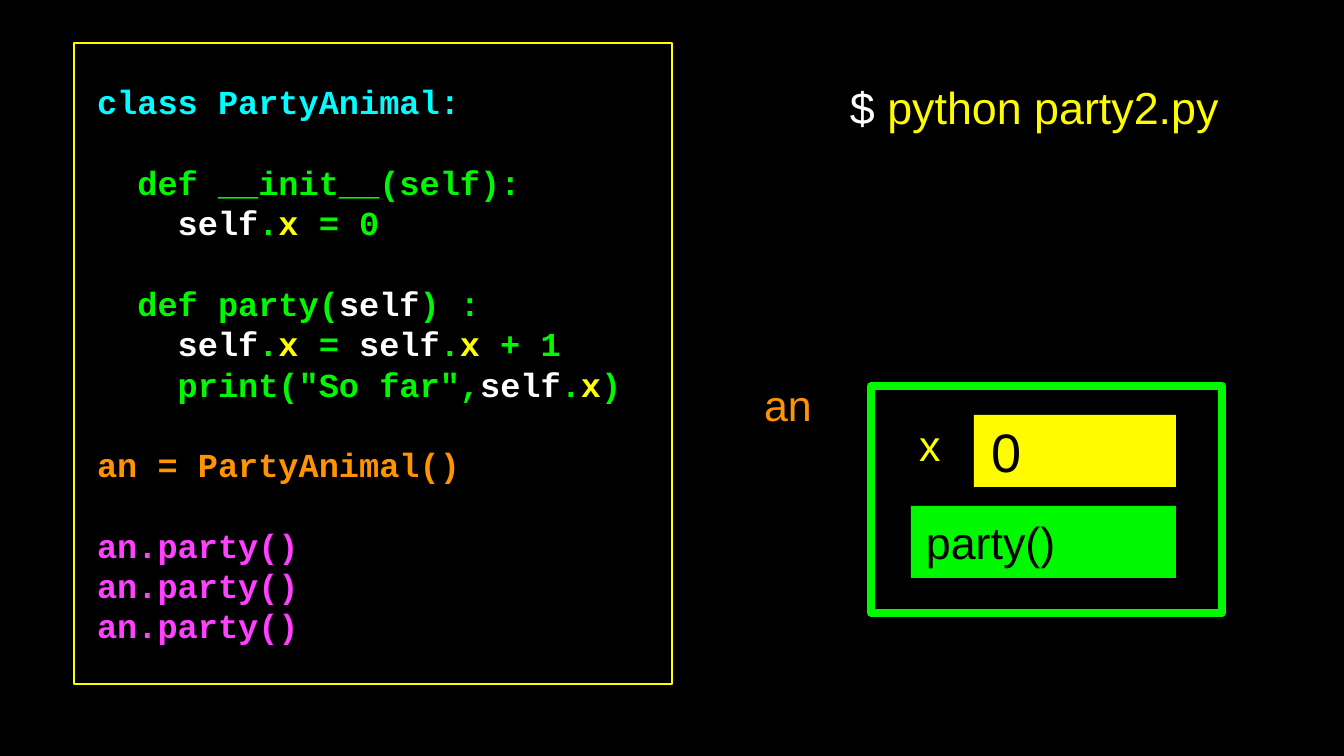
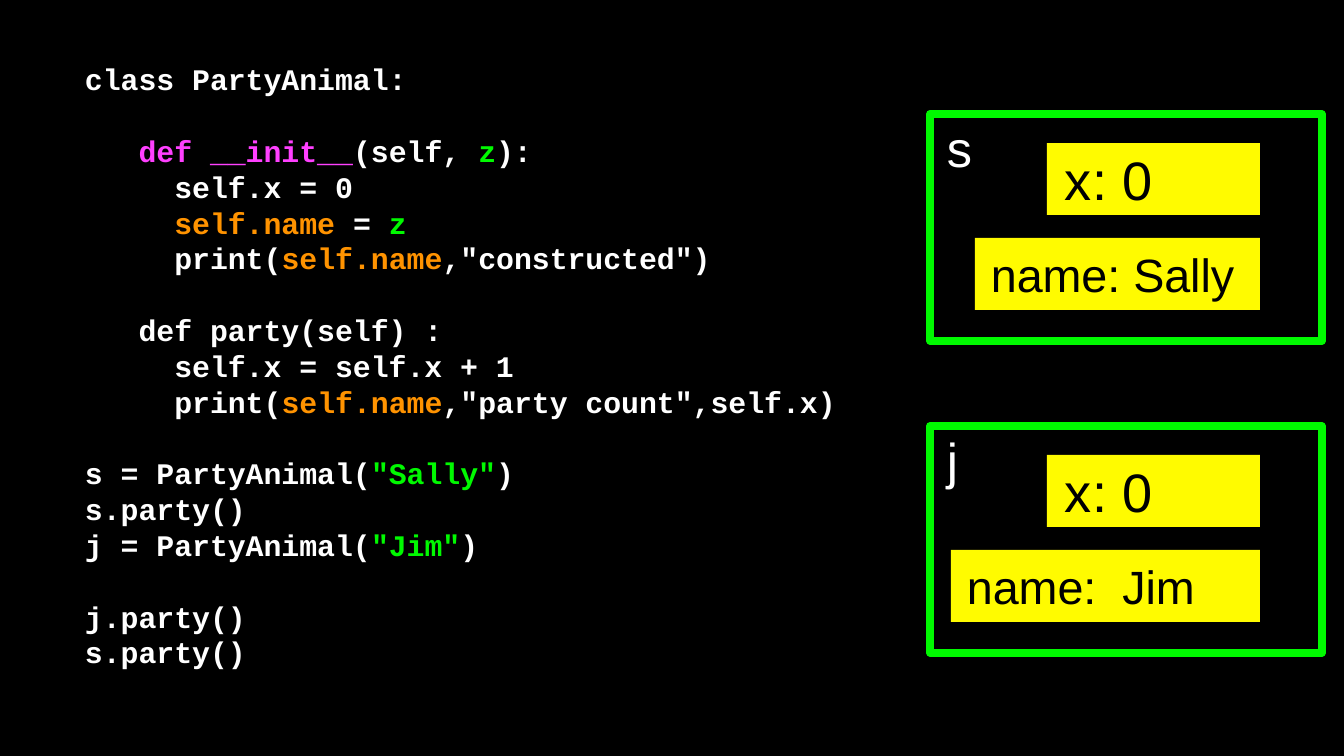
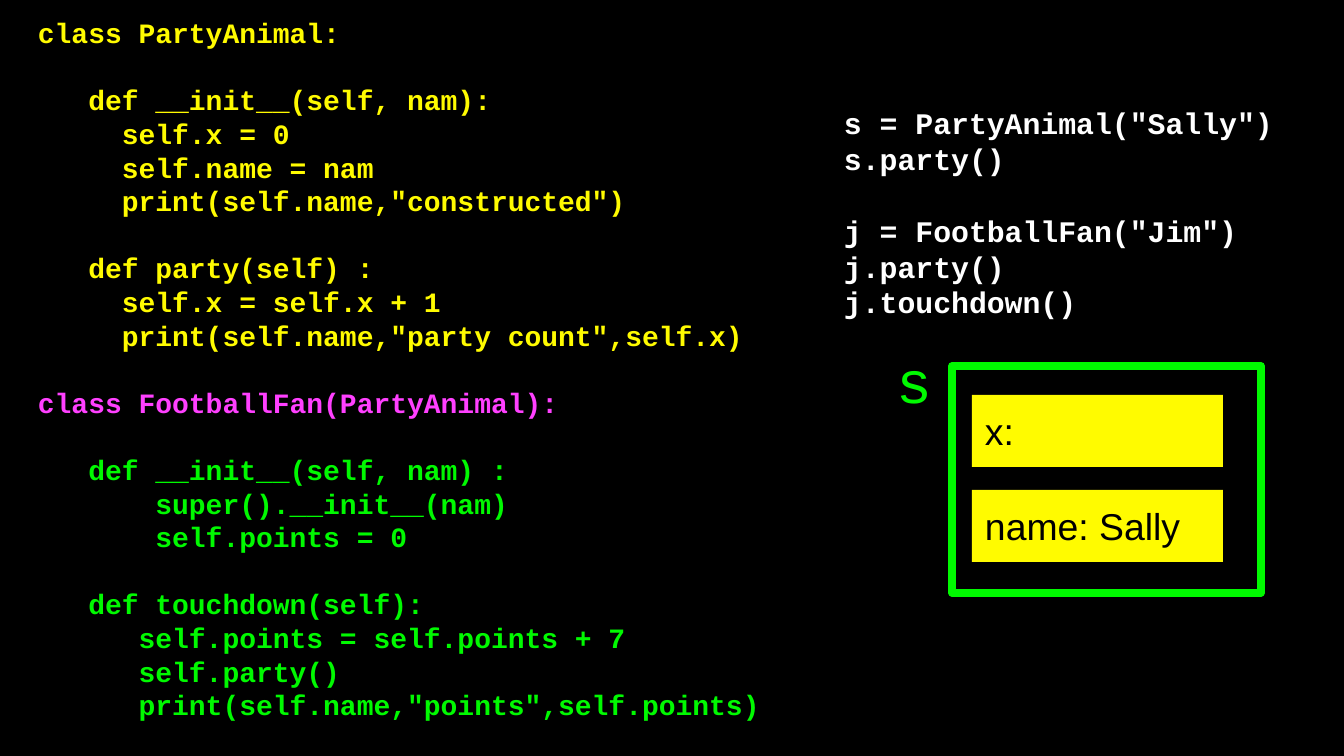
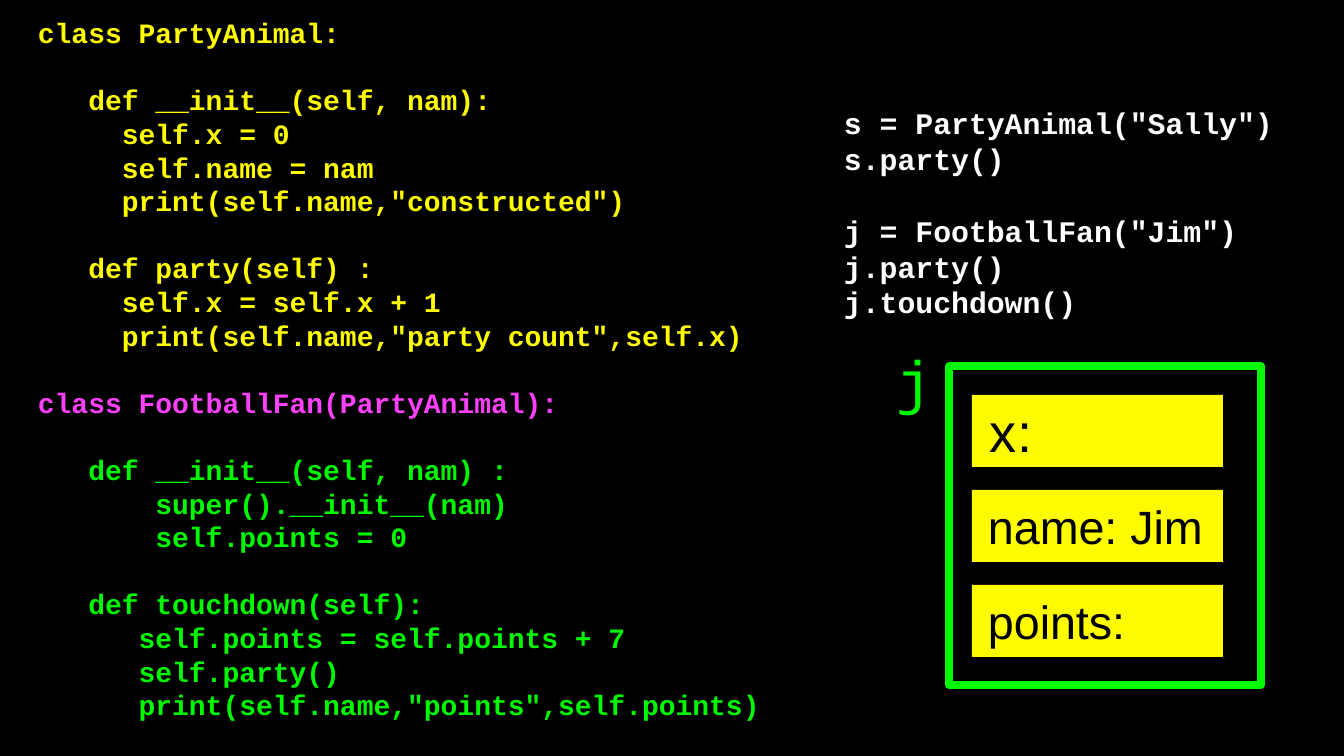
from pptx import Presentation
from pptx import util as u
from pptx.dml.color import RGBColor
from pptx.enum import shapes as kinds, text

EMU_PER_PX = 914400 / 134.4
BLACK = RGBColor(0x00, 0x00, 0x00)
WHITE = RGBColor(0xFF, 0xFF, 0xFF)
YELLOW = RGBColor(0xFF, 0xFB, 0x00)
LEMON = RGBColor(0xFF, 0xFF, 0x00)
GREEN = RGBColor(0x00, 0xF9, 0x00)
LABEL_GREEN = RGBColor(0x00, 0xFA, 0x00)
ORANGE = RGBColor(0xFF, 0x93, 0x00)
PINK = RGBColor(0xFF, 0x40, 0xFF)
CYAN = RGBColor(0x00, 0xFD, 0xFF)

SANS = "Arial"
MONO = "Courier New"
INSET = 3
FIELD_HEIGHT = 72
FIELD_PITCH = 95
CODE_LEADING = 1.2
MIDDLE = text.MSO_ANCHOR.MIDDLE
TOP = text.MSO_ANCHOR.TOP

INIT_CODE = [
    [("class PartyAnimal:", CYAN)],
    None,
    [("  def __init__(self):", GREEN)],
    [("    self", WHITE), (".", GREEN), ("x", LEMON), (" = 0", GREEN)],
    None,
    [("  def party(", GREEN), ("self", WHITE), (") :", GREEN)],
    [("    self", WHITE), (".", GREEN), ("x", LEMON), (" = ", GREEN),
     ("self", WHITE), (".", GREEN), ("x", LEMON), (" + 1", GREEN)],
    [('    print("So far",', GREEN), ("self", WHITE), (".", GREEN),
     ("x", LEMON), (")", GREEN)],
    None,
    [("an = PartyAnimal()", ORANGE)],
    None,
    *[[("an.party()", PINK)]] * 3,
]

NAMED_CODE = [
    [("class PartyAnimal:", WHITE)],
    None,
    [("   def __init__", PINK), ("(self, ", WHITE), ("z", GREEN), ("):", WHITE)],
    [("     self.x = 0", WHITE)],
    [("     self.name", ORANGE), (" = ", WHITE), ("z", GREEN)],
    [("     print(", WHITE), ("self.name", ORANGE), (',"constructed")', WHITE)],
    None,
    [("   def party(self) :", WHITE)],
    [("     self.x = self.x + 1", WHITE)],
    [("     print(", WHITE), ("self.name", ORANGE),
     (',"party count",self.x)', WHITE)],
    None,
    [("s = PartyAnimal(", WHITE), ('"Sally"', GREEN), (")", WHITE)],
    [("s.party()", WHITE)],
    [("j = PartyAnimal(", WHITE), ('"Jim"', GREEN), (")", WHITE)],
    None,
    [("j.party()", WHITE)],
    [("s.party()", WHITE)],
]

BASE_CLASS = """class PartyAnimal:

   def __init__(self, nam):
     self.x = 0
     self.name = nam
     print(self.name,"constructed")

   def party(self) :
     self.x = self.x + 1
     print(self.name,"party count",self.x)
"""
SUBCLASS_HEAD = """class FootballFan(PartyAnimal):
"""
SUBCLASS_BODY = """   def __init__(self, nam) :
       super().__init__(nam)
       self.points = 0

   def touchdown(self):
      self.points = self.points + 7
      self.party()
      print(self.name,"points",self.points)"""
CALLS = """s = PartyAnimal("Sally")
s.party()

j = FootballFan("Jim")
j.party()
j.touchdown()"""


def px(value):
    return u.Emu(round(value * EMU_PER_PX))


def colour_lines(source, colour):
    return [[(line, colour)] if line else None for line in source.split("\n")]


def set_frame(shape, left=INSET, anchor=MIDDLE):
    frame = shape.text_frame
    frame.word_wrap = True
    frame.vertical_anchor = anchor
    frame.margin_left = px(left)
    frame.margin_top = frame.margin_right = frame.margin_bottom = px(INSET)
    return frame


def add_run(paragraph, words, size, colour, font=SANS, bold=False):
    run = paragraph.add_run()
    run.text = words
    run.font.name = font
    run.font.size = u.Pt(size)
    run.font.bold = bold
    run.font.color.rgb = colour


def add_rectangle(shapes, box, fill=None, line=None, width=4):
    shape = shapes.add_shape(kinds.MSO_SHAPE.RECTANGLE, *map(px, box))
    shape.shadow.inherit = False
    if fill is None:
        shape.fill.background()
    else:
        shape.fill.solid()
        shape.fill.fore_color.rgb = fill
    if line is None:
        shape.line.fill.background()
    else:
        shape.line.color.rgb = line
        shape.line.width = u.Pt(width)
    return shape


def write_label(shape, words, size, colour, anchor=MIDDLE):
    frame = set_frame(shape, INSET + round(size * 0.52), anchor)
    paragraph = frame.paragraphs[0]
    paragraph.alignment = text.PP_ALIGN.LEFT
    add_run(paragraph, words, size, colour)


def add_field(shapes, left, top, width, words, size, fill=YELLOW):
    shape = add_rectangle(shapes, (left, top, width, FIELD_HEIGHT), fill)
    write_label(shape, words, size, BLACK)


def add_text(slide, box, runs, size, alignment=text.PP_ALIGN.LEFT):
    shape = slide.shapes.add_textbox(*map(px, box))
    paragraph = set_frame(shape).paragraphs[0]
    paragraph.alignment = alignment
    for words, colour in runs:
        add_run(paragraph, words, size, colour)


def write_code(shape, lines, size, left=INSET):
    frame = set_frame(shape, left)
    pitch = u.Pt(size * CODE_LEADING)
    paragraph = None
    gap = False
    for line in lines:
        if line is None:
            gap = True
            continue
        paragraph = frame.add_paragraph() if paragraph else frame.paragraphs[0]
        paragraph.alignment = text.PP_ALIGN.LEFT
        paragraph.line_spacing = pitch
        if gap:
            paragraph.space_before = pitch
        gap = False
        for words, colour in line:
            add_run(paragraph, words, size, colour, MONO, True)


def add_code(slide, box, lines, size):
    write_code(slide.shapes.add_textbox(*map(px, box)), lines, size)


def add_object_name(slide, name):
    shape = slide.shapes.add_textbox(*map(px, (883, 337, 51, 86)))
    frame = shape.text_frame
    frame.word_wrap = True
    frame.auto_size = text.MSO_AUTO_SIZE.SHAPE_TO_FIT_TEXT
    add_run(frame.paragraphs[0], name, 32, LABEL_GREEN, MONO)


def add_named_object(slide, top, name, name_field, name_left):
    shapes = slide.shapes.add_group_shape().shapes
    frame = add_rectangle(shapes, (930, top, 392, 227), line=GREEN)
    write_label(frame, name, 27, WHITE, TOP)
    right = 1260
    add_field(shapes, 1047, top + 29, right - 1047, "x: 0", 29)
    add_field(shapes, name_left, top + 124, right - name_left, name_field, 25)


def build_constructor_slide(slide):
    add_rectangle(slide.shapes, (871, 386, 351, 227), line=GREEN)
    add_field(slide.shapes, 974, 415, 202, "0", 29)
    add_field(slide.shapes, 911, 506, 265, "party()", 24, GREEN)
    add_text(slide, (761, 380, 81, 49), [("an", ORANGE)], 23)
    add_text(slide, (902, 419, 56, 51), [("x", LEMON)], 23,
             text.PP_ALIGN.CENTER)
    panel = add_rectangle(slide.shapes, (74, 43, 598, 641), line=YELLOW, width=1)
    write_code(panel, INIT_CODE, 18, 23)
    add_text(slide, (847, 81, 454, 52),
             [("$", WHITE), (" python party2.py", YELLOW)], 24)


def build_instances_slide(slide):
    add_code(slide, (82, 26, 828, 679), NAMED_CODE, 16)
    add_named_object(slide, 114, "s", "name: Sally", 975)
    add_named_object(slide, 426, "j", "name:  Jim", 951)


def build_inheritance_slide(slide, name, frame_box, fields):
    add_code(slide, (841, 89, 478, 247), colour_lines(CALLS, WHITE), 16)
    add_rectangle(slide.shapes, frame_box, line=GREEN)
    for index, (words, size) in enumerate(fields):
        add_field(slide.shapes, 972, 395 + index * FIELD_PITCH, 251, words, size)
    add_object_name(slide, name)
    lines = (colour_lines(BASE_CLASS, YELLOW)
             + colour_lines(SUBCLASS_HEAD, PINK)
             + colour_lines(SUBCLASS_BODY, GREEN))
    add_code(slide, (35, 23, 786, 691), lines, 15)


def main():
    presentation = Presentation()
    presentation.slide_width = px(1344)
    presentation.slide_height = px(756)
    background = presentation.slide_master.background.fill
    background.solid()
    background.fore_color.rgb = BLACK
    blank = presentation.slide_layouts[6]
    slides = [presentation.slides.add_slide(blank) for _ in range(4)]
    build_constructor_slide(slides[0])
    build_instances_slide(slides[1])
    build_inheritance_slide(slides[2], "s", (952, 366, 309, 227),
                            [("x:", 20), ("name: Sally", 20)])
    build_inheritance_slide(slides[3], "j", (949, 366, 312, 319),
                            [("x:", 29), ("name: Jim", 25), ("points:", 25)])
    presentation.save("out.pptx")


if __name__ == "__main__":
    main()
